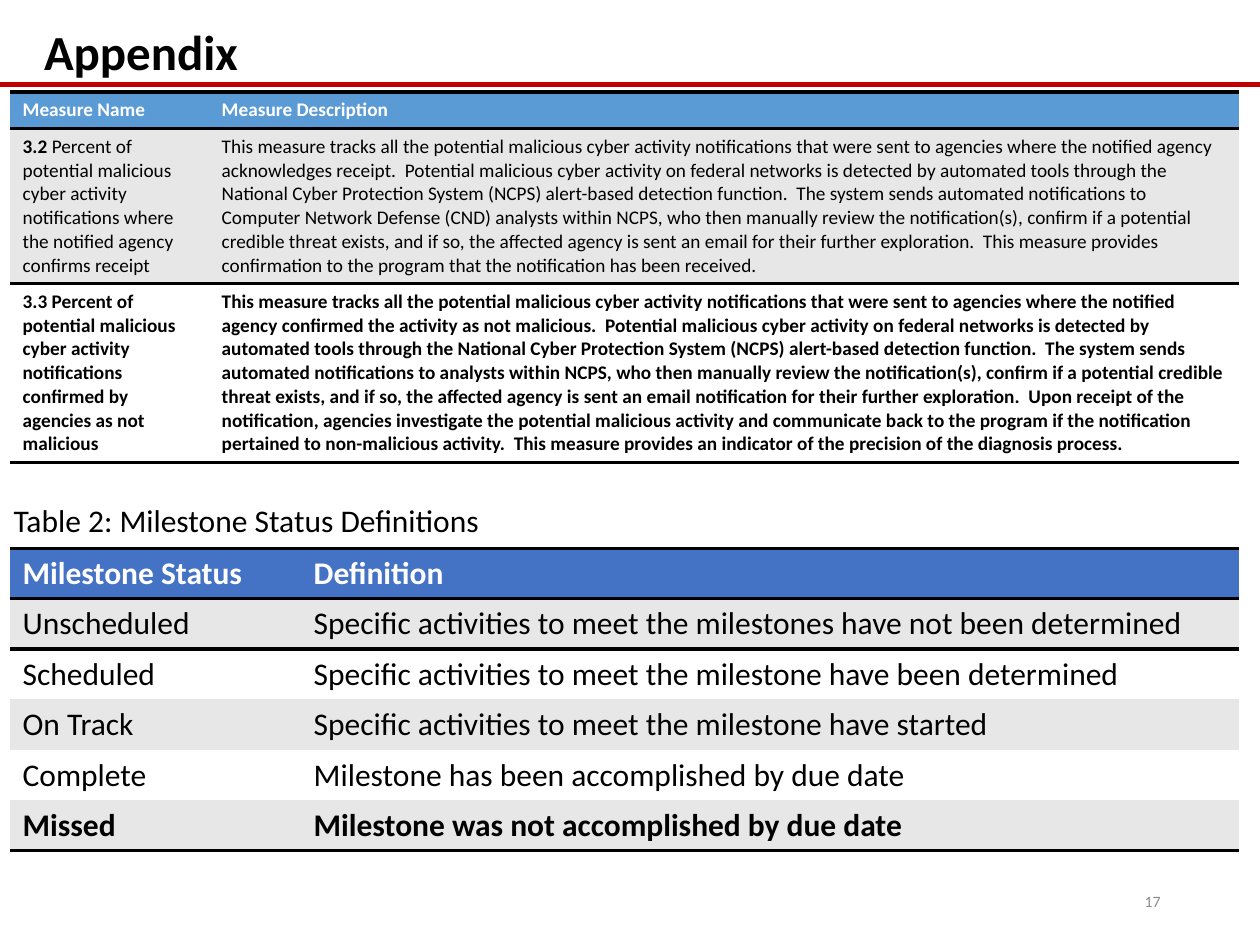
from lxml import etree
from pptx import Presentation
from pptx.dml.color import RGBColor
from pptx.enum.shapes import MSO_CONNECTOR
from pptx.enum.text import MSO_ANCHOR, PP_ALIGN
from pptx.oxml.ns import qn
from pptx.util import Inches, Pt

STRAIGHT = MSO_CONNECTOR.STRAIGHT
TOP, MIDDLE = MSO_ANCHOR.TOP, MSO_ANCHOR.MIDDLE
LEFT, RIGHT = PP_ALIGN.LEFT, PP_ALIGN.RIGHT
TITLE_ONLY = 5
PLAIN_TABLE = "{2D5ABB26-0587-4C30-8999-92F81FD0307C}"


def color(value):
    return RGBColor.from_string(value)


def write(frame, spans, size=18, ink="000000", bold=False, align=LEFT, anchor=TOP):
    frame.word_wrap = True
    frame.vertical_anchor = anchor
    para = frame.paragraphs[0]
    para.alignment = align
    for text, strong in [(spans, bold)] if isinstance(spans, str) else spans:
        span = para.add_run()
        span.text = text
        span.font.name = "Calibri"
        span.font.size = Pt(size)
        span.font.bold = strong
        span.font.color.rgb = color(ink)
    return para


def add_border(cell, side, width=2, ink="000000"):
    border = etree.Element(qn(f"a:{side}"), w=str(Pt(width)))
    fill = etree.SubElement(border, qn("a:solidFill"))
    etree.SubElement(fill, qn("a:srgbClr"), val=ink)
    cell._tc.get_or_add_tcPr().insert(0, border)


class SlideBuilder:
    bands = ("FFFFFF", "E7E7E7")

    def __init__(self, deck):
        self.slide = deck.slides.add_slide(deck.slide_layouts[TITLE_ONLY])

    def title(self, text, left, top, width, height):
        box = self.slide.shapes.title
        box.left, box.top = Inches(left), Inches(top)
        box.width, box.height = Inches(width), Inches(height)
        para = write(box.text_frame, text, size=28, bold=True)
        para.line_spacing = 0.9
        para.space_before = Pt(7.5)

    def text(self, text, left, top, width, height, **style):
        box = self.slide.shapes.add_textbox(
            Inches(left), Inches(top), Inches(width), Inches(height))
        write(box.text_frame, text, **style)

    def rule(self, top, width, ink, weight):
        line = self.slide.shapes.add_connector(
            STRAIGHT, Inches(0), Inches(top), Inches(width), Inches(top))
        line.line.color.rgb = color(ink)
        line.line.width = Pt(weight)
        etree.SubElement(line._element.spPr, qn("a:effectLst"))

    def table(self, rows, left, top, widths, heights, size, header_fill):
        table = self.slide.shapes.add_table(
            len(rows), len(widths), Inches(left), Inches(top),
            Inches(sum(widths)), Inches(sum(heights))).table
        table._tbl.tblPr.find(qn("a:tableStyleId")).text = PLAIN_TABLE
        table.horz_banding = False
        for column, width in zip(table.columns, widths):
            column.width = Inches(width)
        last = len(rows) - 1
        for index, (row, height) in enumerate(zip(rows, heights)):
            table.rows[index].height = Inches(height)
            header = index == 0
            for cell, text in zip(table.rows[index].cells, row):
                write(cell.text_frame, text, size=size,
                      ink="FFFFFF" if header else "000000",
                      bold=index in (0, last))
                cell.fill.solid()
                cell.fill.fore_color.rgb = color(
                    header_fill if header else self.bands[index % 2])
                if index in (0, last):
                    add_border(cell, "lnB")
                if header:
                    add_border(cell, "lnT")
                if index == 1:
                    add_border(cell, "lnT")


TRACKS = ("This measure tracks all the potential malicious cyber activity "
          "notifications that were sent to agencies where the notified agency ")
DETECTION = ("Potential malicious cyber activity on federal networks is detected "
             "by automated tools through the National Cyber Protection System "
             "(NCPS) alert-based detection function.  The system sends automated "
             "notifications to ")
REVIEW = ("analysts within NCPS, who then manually review the notification(s), "
          "confirm if a potential credible threat exists, and if so, the affected "
          "agency is sent an email ")

MEASURES = [
    ("Measure Name", "Measure Description"),
    ([("3.2 ", True),
      ("Percent of potential malicious cyber activity notifications where the "
       "notified agency confirms receipt", False)],
     TRACKS + "acknowledges receipt.  " + DETECTION
     + "Computer Network Defense (CND) " + REVIEW
     + "for their further exploration.  This measure provides confirmation to "
       "the program that the notification has been received."),
    ("3.3 Percent of potential malicious cyber activity notifications confirmed "
     "by agencies as not malicious",
     TRACKS + "confirmed the activity as not malicious.  " + DETECTION + REVIEW
     + "notification for their further exploration.  Upon receipt of the "
       "notification, agencies investigate the potential malicious activity and "
       "communicate back to the program if the notification pertained to "
       "non-malicious activity.  This measure provides an indicator of the "
       "precision of the diagnosis process."),
]

MILESTONES = [
    ("Milestone Status", "Definition"),
    ("Unscheduled", "Specific activities to meet the milestones have not been determined"),
    ("Scheduled", "Specific activities to meet the milestone have been determined"),
    ("On Track", "Specific activities to meet the milestone have started"),
    ("Complete", "Milestone has been accomplished by due date"),
    ("Missed", "Milestone was not accomplished by due date"),
]

deck = Presentation()
deck.slide_width, deck.slide_height = Inches(10), Inches(7.5)
page = SlideBuilder(deck)
page.title("Appendix", 0.25, 0.17, 9.75, 0.92)
page.rule(0.67, 10, "C00000", 3)
page.text("17", 7.06, 6.95, 2.25, 0.4, size=9, ink="8C8C8C", align=RIGHT, anchor=MIDDLE)
page.table(MEASURES, 0.08, 0.73, (1.58, 8.17), (0.29, 1.23, 1.42), 11, "5B9BD5")
page.table(MILESTONES, 0.08, 4.35, (2.31, 7.44), [0.4] * len(MILESTONES), 18, "4472C4")
page.text("Table 2: Milestone Status Definitions", 0.01, 3.93, 5.42, 0.4)
deck.save("out.pptx")
